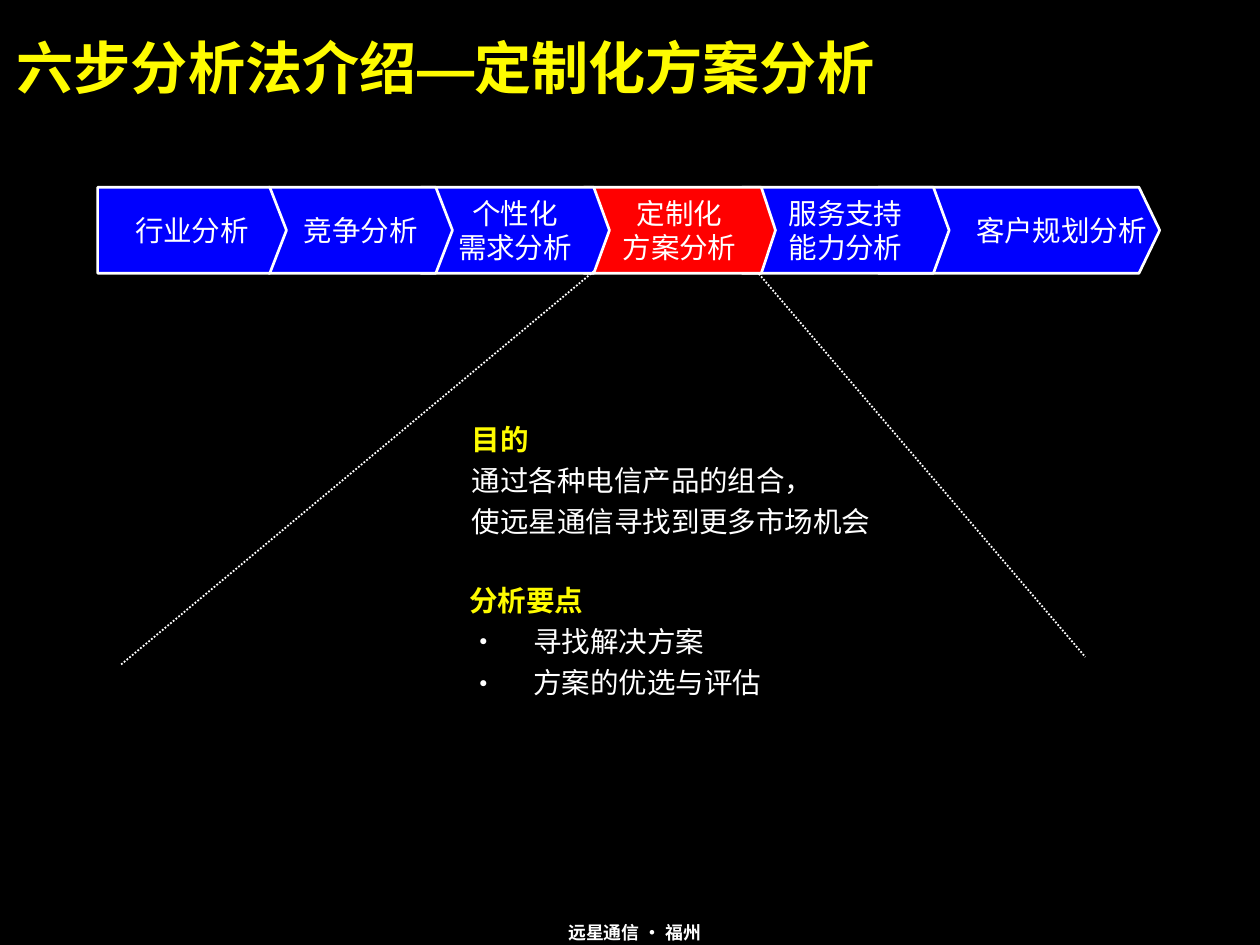
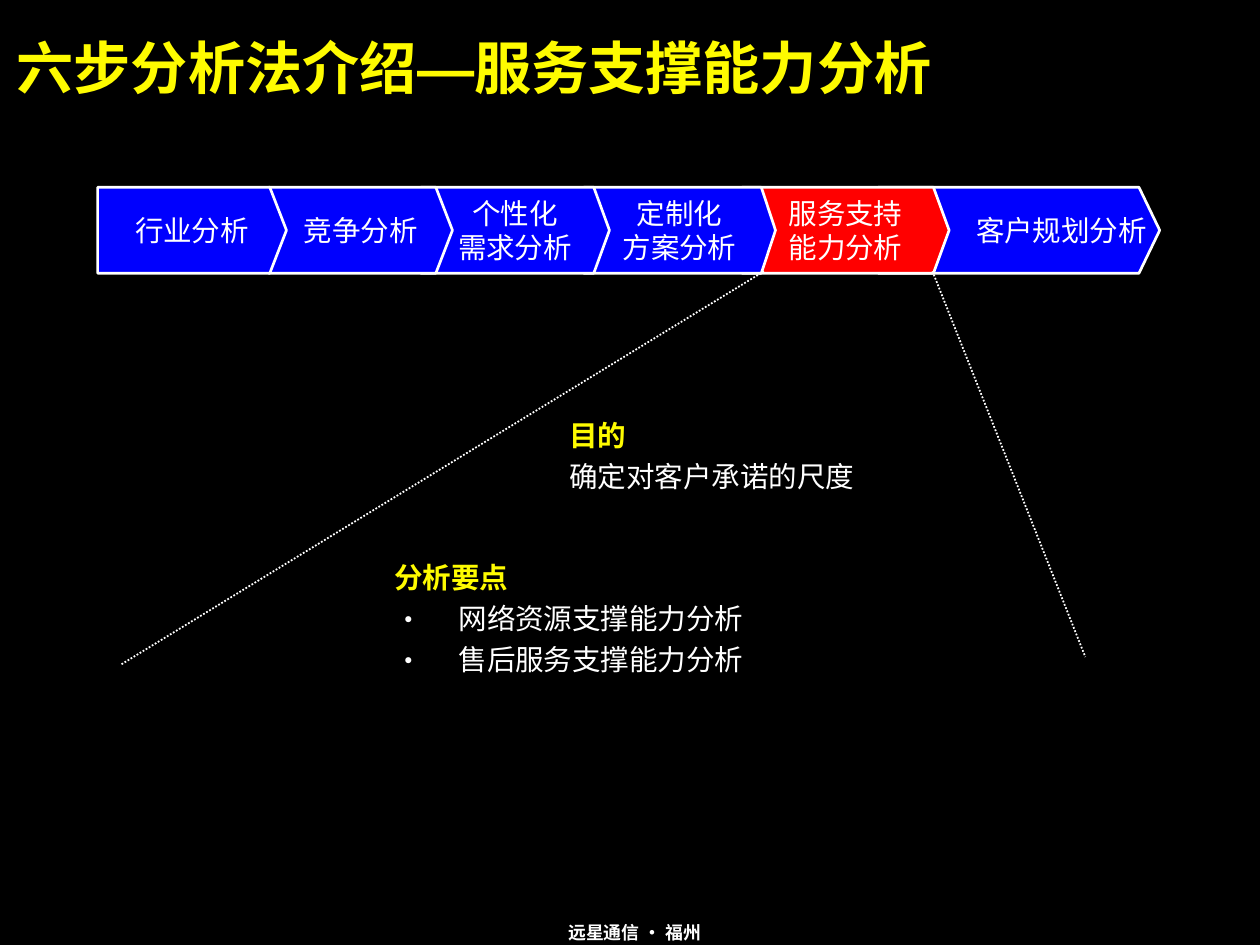
import pptx
import pptx.dml.color
import pptx.enum.dml
import pptx.enum.shapes
import pptx.enum.text
import pptx.oxml.ns
import pptx.util
from lxml import etree
from pptx.util import Cm, Pt

BLACK = pptx.dml.color.RGBColor(0x00, 0x00, 0x00)
WHITE = pptx.dml.color.RGBColor(0xFF, 0xFF, 0xFF)
YELLOW = pptx.dml.color.RGBColor(0xFE, 0xFB, 0x00)
BLUE = pptx.dml.color.RGBColor(0x00, 0x00, 0xFE)
RED = pptx.dml.color.RGBColor(0xFF, 0x00, 0x00)
TITLE_FONT = "Arial"
BODY_FONT = "Noto Sans CJK SC"
LEFT = pptx.enum.text.PP_ALIGN.LEFT
CENTER = pptx.enum.text.PP_ALIGN.CENTER
RIGHT = pptx.enum.text.PP_ALIGN.RIGHT
qn = pptx.oxml.ns.qn

STEP_TOP, STEP_MIDDLE, STEP_BOTTOM = 3.7, 4.55, 5.4
# label lines, left edge, shoulder and tip in cm, alignment
STEPS = [
    (["行业分析"], 1.93, 5.33, 5.66, CENTER),
    (["竞争分析"], 5.31, 8.61, 8.94, CENTER),
    (["个性化", "需求分析"], 8.31, 11.73, 12.04, CENTER),
    (["定制化", "方案分析"], 11.53, 15.04, 15.32, CENTER),
    (["服务支持", "能力分析"], 14.66, 18.44, 18.75, CENTER),
    (["客户规划分析"], 17.35, 22.5, 22.91, RIGHT),
]
GUIDE_ENDS = [(2.39, 13.13), (21.44, 12.98)]

PAGES = [
    {
        "title": "定制化方案分析",
        "active": 3,
        "guide_starts": [(11.73, 5.36), (14.99, 5.41)],
        "purpose": ["通过各种电信产品的组合，", "使远星通信寻找到更多市场机会"],
        "purpose_at": (9.07, 8.07),
        "points": ["寻找解决方案", "方案的优选与评估"],
        "points_at": (9.02, 11.25),
    },
    {
        "title": "服务支撑能力分析",
        "active": 4,
        "guide_starts": [(15.09, 5.36), (18.42, 5.36)],
        "purpose": ["确定对客户承诺的尺度"],
        "purpose_at": (11.0, 8.0),
        "points": ["网络资源支撑能力分析", "售后服务支撑能力分析"],
        "points_at": (7.54, 10.81),
    },
]


def write_lines(frame, lines, size, align=LEFT, font=BODY_FONT, spacing=None):
    """Fill a text frame with (text, colour, bold) lines and return the paragraphs."""
    frame.word_wrap = True
    for number, (text, colour, bold) in enumerate(lines):
        para = frame.add_paragraph() if number else frame.paragraphs[0]
        para.alignment = align
        if spacing:
            para.line_spacing = Pt(spacing)
        span = para.add_run()
        span.text = text
        span.font.size = Pt(size)
        span.font.bold = bold
        span.font.color.rgb = colour
        span.font.name = font
        east_asian = etree.SubElement(span.font._element, qn("a:ea"))
        east_asian.set("typeface", font)
    return frame.paragraphs


def add_section(page, place, width, heading, lines):
    box = page.shapes.add_textbox(Cm(place[0]), Cm(place[1]), Cm(width), Cm(2.7))
    content = [(heading, YELLOW, True)] + [(line, WHITE, False) for line in lines]
    return write_lines(box.text_frame, content, 16, spacing=23)


deck = pptx.Presentation()
deck.slide_width, deck.slide_height = Cm(24.89), Cm(18.67)
backdrop = deck.slide_master.background.fill
backdrop.solid()
backdrop.fore_color.rgb = BLACK

for content in PAGES:
    page = deck.slides.add_slide(deck.slide_layouts[6])

    footer = page.shapes.add_textbox(Cm(8.51), Cm(18.08), Cm(8.05), Cm(0.53))
    write_lines(footer.text_frame, [("远星通信 · 福州", WHITE, True)], 10, CENTER, spacing=12)

    title = page.shapes.add_textbox(Cm(0.33), Cm(0.64), Cm(23.95), Cm(1.35))
    frame = title.text_frame
    frame.margin_left = frame.margin_right = frame.margin_top = frame.margin_bottom = 0
    write_lines(frame, [("六步分析法介绍—" + content["title"], YELLOW, True)], 32, font=TITLE_FONT)

    # Later steps lie behind earlier ones, so the row is drawn from the right.
    for number, (label, left, shoulder, tip, align) in reversed(list(enumerate(STEPS))):
        outline = page.shapes.build_freeform(Cm(left), Cm(STEP_TOP))
        corners = [(shoulder, STEP_TOP), (tip, STEP_MIDDLE), (shoulder, STEP_BOTTOM), (left, STEP_BOTTOM)]
        outline.add_line_segments([(Cm(x), Cm(y)) for x, y in corners], close=True)
        step = outline.convert_to_shape()
        step.shadow.inherit = False
        step.fill.solid()
        step.fill.fore_color.rgb = RED if number == content["active"] else BLUE
        step.line.color.rgb = WHITE
        step.line.width = Pt(1.5)
        step.text_frame.vertical_anchor = pptx.enum.text.MSO_ANCHOR.MIDDLE
        write_lines(step.text_frame, [(line, WHITE, False) for line in label], 16, align, spacing=19)

    for start, end in zip(content["guide_starts"], GUIDE_ENDS):
        guide = page.shapes.add_connector(
            pptx.enum.shapes.MSO_CONNECTOR.STRAIGHT, *[Cm(value) for value in start + end])
        guide.line.color.rgb = WHITE
        guide.line.width = Pt(1)
        guide.line.dash_style = pptx.enum.dml.MSO_LINE.ROUND_DOT
        etree.SubElement(guide._element.spPr, qn("a:effectLst"))

    add_section(page, content["purpose_at"], 11.2, "目的", content["purpose"])
    points = add_section(page, content["points_at"], 15.7, "分析要点", content["points"])
    for para in points[1:]:
        settings = para._p.get_or_add_pPr()
        settings.set("marL", str(Cm(1.27)))
        settings.set("indent", str(-Cm(1.27)))
        bullet_colour = etree.SubElement(settings, qn("a:buClr"))
        etree.SubElement(bullet_colour, qn("a:srgbClr")).set("val", str(WHITE))
        etree.SubElement(settings, qn("a:buFont")).set("typeface", BODY_FONT)
        etree.SubElement(settings, qn("a:buChar")).set("char", "•")

deck.save("out.pptx")
